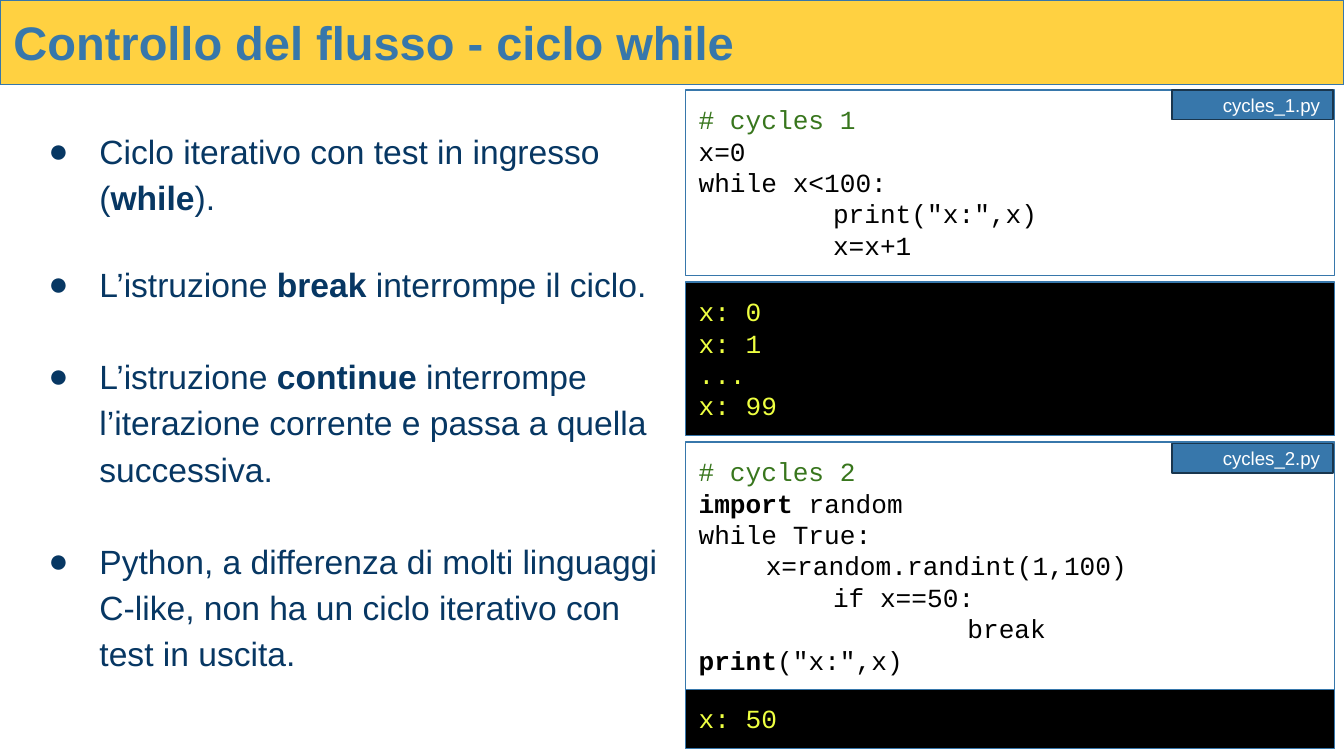
"""Build the slide on the Python while loop."""
import pptx
import pptx.dml.color
import pptx.enum.shapes
import pptx.enum.text
import pptx.oxml
import pptx.oxml.ns
import pptx.util

Inches, Pt = pptx.util.Inches, pptx.util.Pt
Align, Anchor = pptx.enum.text.PP_ALIGN, pptx.enum.text.MSO_ANCHOR
Auto = pptx.enum.text.MSO_AUTO_SIZE

BLUE, NAVY, GOLD, EDGE = "3777AB", "073763", "FFD141", "19364E"
BLACK, WHITE, GREEN, LIME = "000000", "FFFFFF", "38761D", "EEFF41"

TITLE = "Controllo del flusso - ciclo while"
POINTS = [
    ("Ciclo iterativo con test in ingresso (**while**).", 21.5),
    ("L’istruzione **break** interrompe il ciclo.", 24.5),
    ("L’istruzione **continue** interrompe l’iterazione corrente e passa a quella successiva.", 24.5),
    ("Python, a differenza di molti linguaggi C-like, non ha un ciclo iterativo con test in uscita.", 0),
]
CODE = [
    (0.67, 1.38, None, BLACK, {},
     ["# cycles 1", "x=0", "while x<100:", '\tprint("x:",x)', "\tx=x+1"]),
    (2.1, 1.14, BLACK, LIME, {}, ["x: 0", "x: 1", "...", "x: 99"]),
    (3.29, 1.85, None, BLACK, {3: 0.5},
     ["# cycles 2", "**import** random", "while True:", "x=random.randint(1,100)",
      "\tif x==50:", "\t\tbreak", '**print**("x:",x)']),
    (5.13, 0.44, BLACK, LIME, {}, ["x: 50"]),
]
TAGS = [(0.67, "cycles_1.py"), (3.3, "cycles_2.py")]

FONTS = {
    "title": {"name": "Arial", "size": Pt(25.2)},
    "body": {"name": "Arial", "size": Pt(18)},
    "code": {"name": "Courier New", "size": Pt(14)},
    "tag": {"name": "Arial", "size": Pt(10)},
}
FRAME = {"word_wrap": True, **{f"margin_{side}": Inches(0.1)
                               for side in ("left", "right", "top", "bottom")}}


def put(item, values):
    for key, value in values.items():
        setattr(item, key, value)


def tint(color, code):
    color.rgb = pptx.dml.color.RGBColor.from_string(code)


def place(shape, *box):
    put(shape, dict(zip(("left", "top", "width", "height"), map(Inches, box))))


def paint(shape, fill, line):
    if fill:
        shape.fill.solid()
        tint(shape.fill.fore_color, fill)
    else:
        shape.fill.background()
    tint(shape.line.color, line)
    shape.line.width = Pt(0.75)


def indent(para, **sizes):
    props = para._p.get_or_add_pPr()
    for key, size in sizes.items():
        props.set(key, str(Inches(size)))
    return props


def write(shape, lines, font, color, align=Align.LEFT, anchor=Anchor.TOP, auto=Auto.NONE):
    frame = shape.text_frame
    put(frame, {**FRAME, "vertical_anchor": anchor, "auto_size": auto})
    for i, line in enumerate(lines):
        para = frame.add_paragraph() if i else frame.paragraphs[0]
        para.alignment = align
        for j, text in enumerate(line.split("**")):
            if text:
                run = para.add_run()
                run.text = text
                put(run.font, {**FONTS[font], "bold": font == "title" or j % 2 == 1})
                tint(run.font.color, GREEN if line.startswith("#") else color)
    return frame.paragraphs


def dot(para, gap):
    put(para, {"line_spacing": 1.15, "space_before": Pt(0), "space_after": Pt(gap)})
    props = indent(para, marL=0.5, indent=-0.38)
    space = pptx.oxml.ns.nsdecls("a")
    for xml in (f'<a:buClr {space}><a:srgbClr val="{NAVY}"/></a:buClr>',
                f'<a:buFont {space} typeface="Arial"/>',
                f'<a:buChar {space} char="●"/>'):
        props.append(pptx.oxml.parse_xml(xml))


def panel(slide, box, fill, line):
    kind = pptx.enum.shapes.MSO_SHAPE.RECTANGLE
    shape = slide.shapes.add_shape(kind, *map(Inches, box))
    shape.shadow.inherit = False
    paint(shape, fill, line)
    return shape


def main():
    deck = pptx.Presentation()
    put(deck, {"slide_width": Inches(10), "slide_height": Inches(10 * 9 / 16)})
    slide = deck.slides.add_slide(deck.slide_layouts[1])

    title, body = slide.placeholders
    place(title, 0, 0, 10, 0.63)
    paint(title, GOLD, BLUE)
    write(title, [TITLE], "title", BLUE)
    place(body, 0.14, 0.83, 4.86, 4.74)
    paras = write(body, [text for text, _ in POINTS], "body", NAVY)
    for para, (_, gap) in zip(paras, POINTS):
        dot(para, gap)

    for top, high, fill, color, shifts, lines in CODE:
        shape = panel(slide, (5.1, top, 4.83, high), fill, BLUE)
        paras = write(shape, lines, "code", color, auto=Auto.SHAPE_TO_FIT_TEXT)
        for row, para in enumerate(paras):
            indent(para, marL=0, indent=shifts.get(row, 0), defTabSz=1)
    for top, name in TAGS:
        shape = panel(slide, (8.72, top, 1.2, 0.22), BLUE, EDGE)
        write(shape, [name], "tag", WHITE, Align.RIGHT, Anchor.MIDDLE)

    deck.save("out.pptx")


if __name__ == "__main__":
    main()
